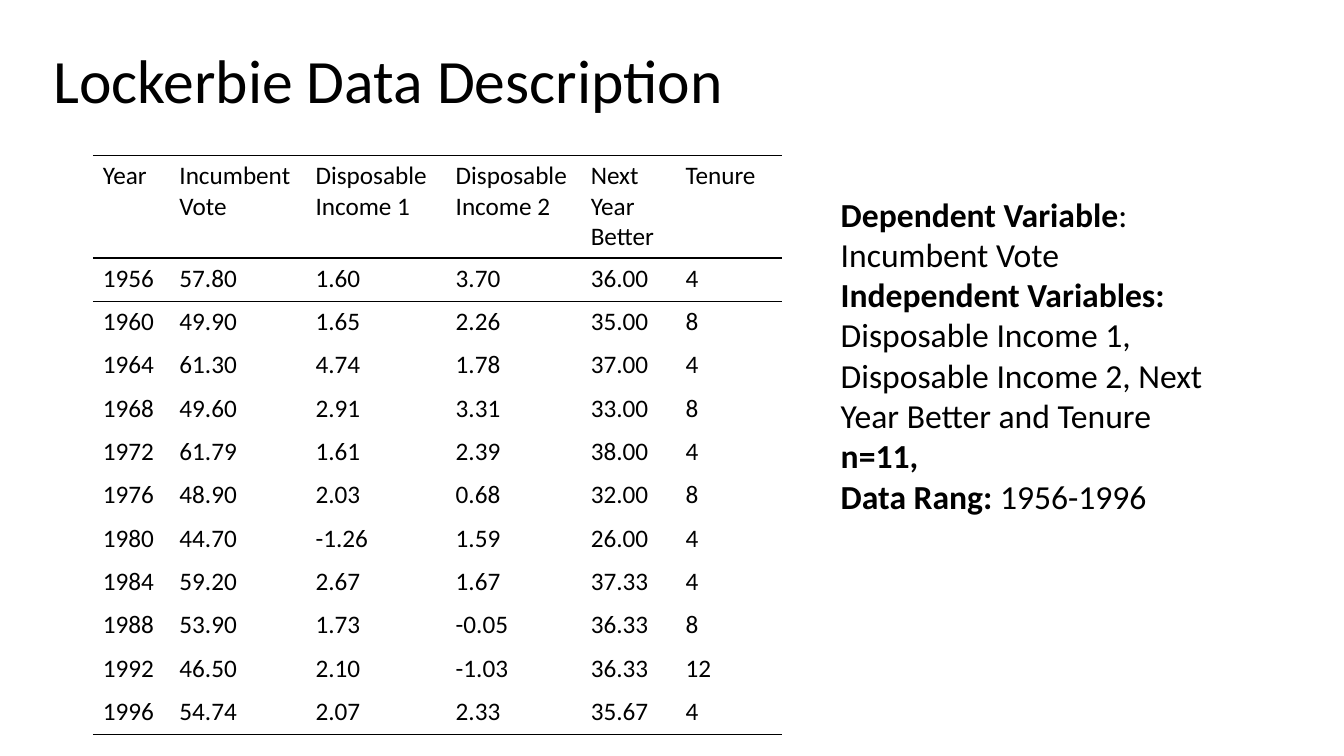
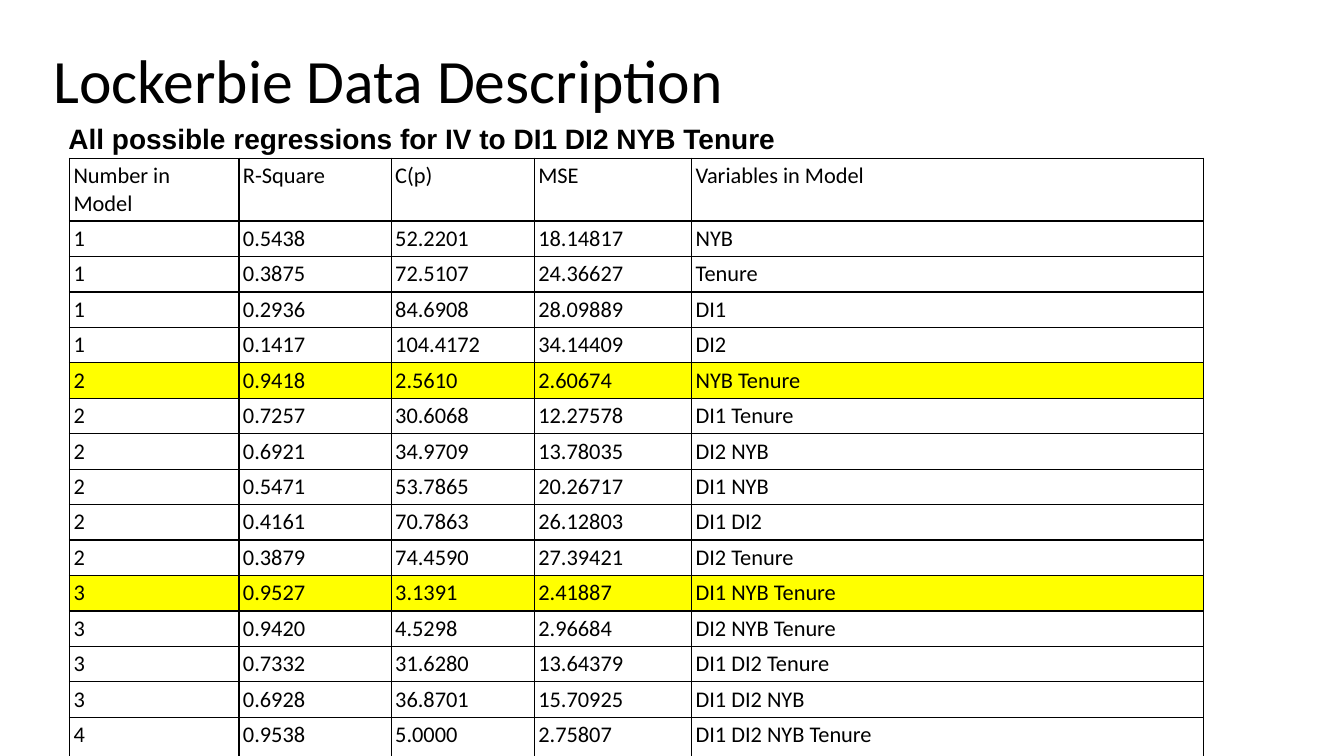
"""Build two slides that describe the Lockerbie election data and its regressions."""
from lxml import etree
from pptx import Presentation
from pptx.dml.color import RGBColor
from pptx.enum import text as t
from pptx.oxml.ns import qn
from pptx.util import Inches, Pt

BLACK = RGBColor(0x00, 0x00, 0x00)
YELLOW = RGBColor(0xFF, 0xFF, 0x00)
BODY_FONT = "Calibri"
PLAIN_TABLE = "{2D5ABB26-0587-4C30-8999-92F81FD0307C}"
TITLE = "Lockerbie Data Description"
TITLE_BOX = (0.43, 0.1, 11.5, 1.45)

ELECTIONS = [
    ("Year", "Incumbent Vote", "Disposable Income 1", "Disposable Income 2",
     "Next Year Better", "Tenure"),
    ("1956", "57.80", "1.60", "3.70", "36.00", "4"),
    ("1960", "49.90", "1.65", "2.26", "35.00", "8"),
    ("1964", "61.30", "4.74", "1.78", "37.00", "4"),
    ("1968", "49.60", "2.91", "3.31", "33.00", "8"),
    ("1972", "61.79", "1.61", "2.39", "38.00", "4"),
    ("1976", "48.90", "2.03", "0.68", "32.00", "8"),
    ("1980", "44.70", "-1.26", "1.59", "26.00", "4"),
    ("1984", "59.20", "2.67", "1.67", "37.33", "4"),
    ("1988", "53.90", "1.73", "-0.05", "36.33", "8"),
    ("1992", "46.50", "2.10", "-1.03", "36.33", "12"),
    ("1996", "54.74", "2.07", "2.33", "35.67", "4"),
]
VARIABLES = [
    [("Dependent Variable", True), (": Incumbent Vote", False)],
    [("Independent Variables: ", True),
     ("Disposable Income 1, Disposable Income 2, Next Year Better and Tenure", False)],
    [("n=11,", True)],
    [("Data Rang:", True), (" 1956-1996", False)],
]
REGRESSIONS = [
    ("Number in\nModel", "R-Square", "C(p)", "MSE", "Variables in Model"),
    ("1", "0.5438", "52.2201", "18.14817", "NYB"),
    ("1", "0.3875", "72.5107", "24.36627", "Tenure"),
    ("1", "0.2936", "84.6908", "28.09889", "DI1"),
    ("1", "0.1417", "104.4172", "34.14409", "DI2"),
    ("2", "0.9418", "2.5610", "2.60674", "NYB Tenure"),
    ("2", "0.7257", "30.6068", "12.27578", "DI1 Tenure"),
    ("2", "0.6921", "34.9709", "13.78035", "DI2 NYB"),
    ("2", "0.5471", "53.7865", "20.26717", "DI1 NYB"),
    ("2", "0.4161", "70.7863", "26.12803", "DI1 DI2"),
    ("2", "0.3879", "74.4590", "27.39421", "DI2 Tenure"),
    ("3", "0.9527", "3.1391", "2.41887", "DI1 NYB Tenure"),
    ("3", "0.9420", "4.5298", "2.96684", "DI2 NYB Tenure"),
    ("3", "0.7332", "31.6280", "13.64379", "DI1 DI2 Tenure"),
    ("3", "0.6928", "36.8701", "15.70925", "DI1 DI2 NYB"),
    ("4", "0.9538", "5.0000", "2.75807", "DI1 DI2 NYB Tenure"),
]
BEST_MODELS = {"NYB Tenure", "DI1 NYB Tenure"}


def write(frame, paragraphs, size, font=BODY_FONT, spacing=None):
    for index, runs in enumerate(paragraphs):
        paragraph = frame.paragraphs[0] if index == 0 else frame.add_paragraph()
        paragraph.alignment = t.PP_ALIGN.LEFT
        paragraph.line_spacing = spacing
        for content, bold in runs:
            for number, line in enumerate(content.split("\n")):
                if number:
                    paragraph.add_line_break()
                run = paragraph.add_run()
                run.text = line
                run.font.size = Pt(size)
                run.font.name = font
                run.font.bold = bold
                run.font.color.rgb = BLACK


def add_titled_slide(deck):
    slide = deck.slides.add_slide(deck.slide_layouts[5])
    title = slide.shapes.title
    title.left, title.top, title.width, title.height = map(Inches, TITLE_BOX)
    title.text_frame.vertical_anchor = t.MSO_ANCHOR.MIDDLE
    write(title.text_frame, [[(TITLE, False)]], 44, spacing=0.9)
    return slide


def add_text(slide, box, paragraphs, size, wrap=True, **style):
    frame = slide.shapes.add_textbox(*map(Inches, box)).text_frame
    frame.word_wrap = wrap
    frame.auto_size = t.MSO_AUTO_SIZE.SHAPE_TO_FIT_TEXT
    write(frame, paragraphs, size, **style)


def draw_borders(cell, sides):
    properties = cell._tc.get_or_add_tcPr()
    for side in "LRTB":
        if side in sides:
            line = etree.SubElement(properties, qn(f"a:ln{side}"), w=str(Pt(1)))
            fill = etree.SubElement(line, qn("a:solidFill"))
            etree.SubElement(fill, qn("a:srgbClr"), val=str(BLACK))


def add_data_table(slide, left, top, widths, heights, rows, size, sides_of,
                   inset=None, highlights=()):
    graphic = slide.shapes.add_table(
        len(rows), len(widths), Inches(left), Inches(top),
        Inches(sum(widths)), Inches(sum(heights)))
    table = graphic.table
    table.first_row = table.horz_banding = False
    table._tbl.tblPr.find(qn("a:tableStyleId")).text = PLAIN_TABLE
    for column, width in zip(table.columns, widths):
        column.width = Inches(width)
    for index, (row, height, values) in enumerate(zip(table.rows, heights, rows)):
        row.height = Inches(height)
        for cell, value in zip(row.cells, values):
            write(cell.text_frame, [[(value, False)]], size)
            if inset is not None:
                cell.margin_left = cell.margin_right = Inches(inset)
                cell.margin_top = cell.margin_bottom = Inches(inset)
            draw_borders(cell, sides_of(index))
            if values[-1] in highlights:
                cell.fill.solid()
                cell.fill.fore_color.rgb = YELLOW
            else:
                cell.fill.background()


def add_data_slide(deck):
    slide = add_titled_slide(deck)
    rules = {0: "TB", 1: "T", len(ELECTIONS) - 1: "B"}
    add_data_table(slide, 0.92, 1.54, [0.76, 1.35, 1.39, 1.34, 0.94, 1.06],
                   [1.02] + [0.43] * (len(ELECTIONS) - 1), ELECTIONS, 18,
                   lambda index: rules.get(index, ""))
    add_text(slide, (8.24, 1.87, 4.08, 4.14), VARIABLES, 24)


def add_regression_slide(deck):
    slide = add_titled_slide(deck)
    add_data_table(slide, 0.69, 1.57, [1.68, 1.51, 1.42, 1.56, 5.08],
                   [0.45] + [0.26] * (len(REGRESSIONS) - 2) + [0.45],
                   REGRESSIONS, 16, lambda index: "LRTB",
                   inset=0.04, highlights=BEST_MODELS)
    caption = "All possible regressions for IV to DI1 DI2 NYB Tenure"
    add_text(slide, (0.58, 1.16, 7.27, 0.44), [[(caption, True)]], 20,
             wrap=False, font="Arial")


def main():
    deck = Presentation()
    deck.slide_width, deck.slide_height = Inches(13.33), Inches(7.5)
    add_data_slide(deck)
    add_regression_slide(deck)
    deck.save("out.pptx")


main()
